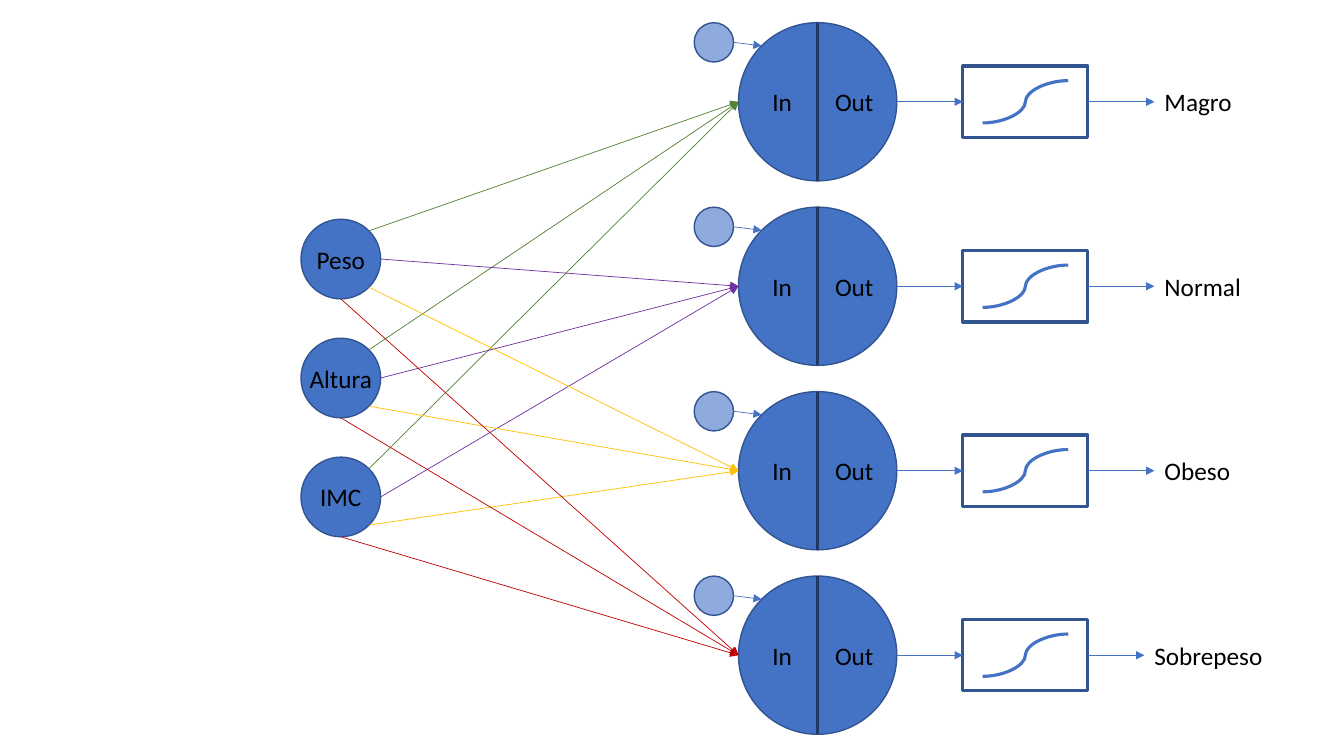
from math import cos, radians, sin

from lxml.etree import SubElement
from pptx import Presentation
from pptx.dml.color import RGBColor
from pptx.enum.shapes import MSO_CONNECTOR as Link, MSO_SHAPE as Shape
from pptx.enum.text import MSO_ANCHOR, PP_ALIGN as Align
from pptx.oxml.ns import qn
from pptx.util import Inches, Pt

COLORS = {
    "neuron": "4472C4", "bias": "8FAADC", "outline": "325491",
    "divider": "203864", "box": "FFFFFF", "text": "000000",
    "green": "548235", "purple": "7030A0", "yellow": "FFC000", "red": "C00000",
}

INPUT_X, BIAS_X, NEURON_X, SIGMOID_X = 3.38, 7.08, 8.11, 10.17
INPUT_TOP, INPUT_PITCH, INPUT_SIZE = 2.57, 1.18, 0.79
OUTPUT_TOP, OUTPUT_PITCH, NEURON_SIZE = 1.01, 1.83, 1.57
BIAS_SIZE, BIAS_RISE = 0.39, 0.59
SIGMOID_WIDTH, SIGMOID_HEIGHT = 1.24, 0.71
CURVE_WIDTH, CURVE_HEIGHT = 0.85, 0.42
LABEL_HEIGHT = 0.4

inputs = ["Peso", "Altura", "IMC"]
outputs = [
    ("Magro", 11.45, "green", -45),
    ("Normal", 11.45, "purple", 0),
    ("Obeso", 11.45, "yellow", 45),
    ("Sobrepeso", 11.35, "red", 90),
]

prs = Presentation()
prs.slide_width, prs.slide_height = Inches(13.33), Inches(7.5)
slide = prs.slides.add_slide(prs.slide_layouts[6])


def add_node(kind, x, y, width, height, color, weight=1):
    node = slide.shapes.add_shape(
        kind, Inches(x - width / 2), Inches(y - height / 2), Inches(width), Inches(height))
    node.shadow.inherit = False
    node.fill.solid()
    node.fill.fore_color.rgb = RGBColor.from_string(COLORS[color])
    node.line.color.rgb = RGBColor.from_string(COLORS["outline"])
    node.line.width = Pt(weight)


def add_link(start, end, color="neuron", weight=0.5, arrow=True, kind=Link.STRAIGHT):
    link = slide.shapes.add_connector(kind, *map(Inches, start + end))
    link.line.color.rgb = RGBColor.from_string(COLORS[color])
    link.line.width = Pt(weight)
    if arrow:
        SubElement(link.line._get_or_add_ln(), qn("a:tailEnd"), type="triangle")
    SubElement(link._element.spPr, qn("a:effectLst"))


labels = []
input_rows = [INPUT_TOP + INPUT_PITCH * row for row in range(len(inputs))]
neuron_left, neuron_right = NEURON_X - NEURON_SIZE / 2, NEURON_X + NEURON_SIZE / 2
sigmoid_left, sigmoid_right = SIGMOID_X - SIGMOID_WIDTH / 2, SIGMOID_X + SIGMOID_WIDTH / 2

for name, y in zip(inputs, input_rows):
    add_node(Shape.OVAL, INPUT_X, y, INPUT_SIZE, INPUT_SIZE, "neuron")
    labels.append((name, INPUT_X - INPUT_SIZE / 2, y, INPUT_SIZE, Align.CENTER))

for row, (name, label_x, weight_color, angle) in enumerate(outputs):
    y = OUTPUT_TOP + OUTPUT_PITCH * row
    half = NEURON_SIZE / 2
    add_node(Shape.OVAL, NEURON_X, y, NEURON_SIZE, NEURON_SIZE, "neuron")
    add_node(Shape.OVAL, BIAS_X, y - BIAS_RISE, BIAS_SIZE, BIAS_SIZE, "bias")
    add_node(Shape.RECTANGLE, SIGMOID_X, y, SIGMOID_WIDTH, SIGMOID_HEIGHT, "box", 2.25)
    add_link((SIGMOID_X - CURVE_WIDTH / 2, y + CURVE_HEIGHT / 2),
             (SIGMOID_X + CURVE_WIDTH / 2, y - CURVE_HEIGHT / 2),
             weight=2.25, arrow=False, kind=Link.CURVE)
    add_link((neuron_right, y), (sigmoid_left, y))
    add_link((sigmoid_right, y), (label_x, y))
    add_link((BIAS_X + BIAS_SIZE / 2, y - BIAS_RISE),
             (NEURON_X - half * cos(radians(45)), y - half * sin(radians(45))))
    for input_y in input_rows:
        departure = (INPUT_X + INPUT_SIZE / 2 * cos(radians(angle)),
                     input_y + INPUT_SIZE / 2 * sin(radians(angle)))
        add_link(departure, (neuron_left, y), weight_color)
    add_link((NEURON_X, y - half), (NEURON_X, y + half), "divider", 2.25, arrow=False)
    labels += [
        ("In", neuron_left + 0.04, y, half, Align.CENTER),
        ("Out", NEURON_X - 0.03, y, half, Align.CENTER),
        (name, label_x + 0.1, y, 1.2, Align.LEFT),
    ]

for text, left, y, width, align in labels:
    label = slide.shapes.add_textbox(
        Inches(left), Inches(y - LABEL_HEIGHT / 2), Inches(width), Inches(LABEL_HEIGHT))
    frame = label.text_frame
    frame.word_wrap = True
    frame.margin_left = frame.margin_right = 0
    frame.vertical_anchor = MSO_ANCHOR.MIDDLE
    frame.text = text
    paragraph = frame.paragraphs[0]
    paragraph.alignment = align
    paragraph.font.name = "Calibri"
    paragraph.font.size = Pt(18)
    paragraph.font.color.rgb = RGBColor.from_string(COLORS["text"])

prs.save("out.pptx")
